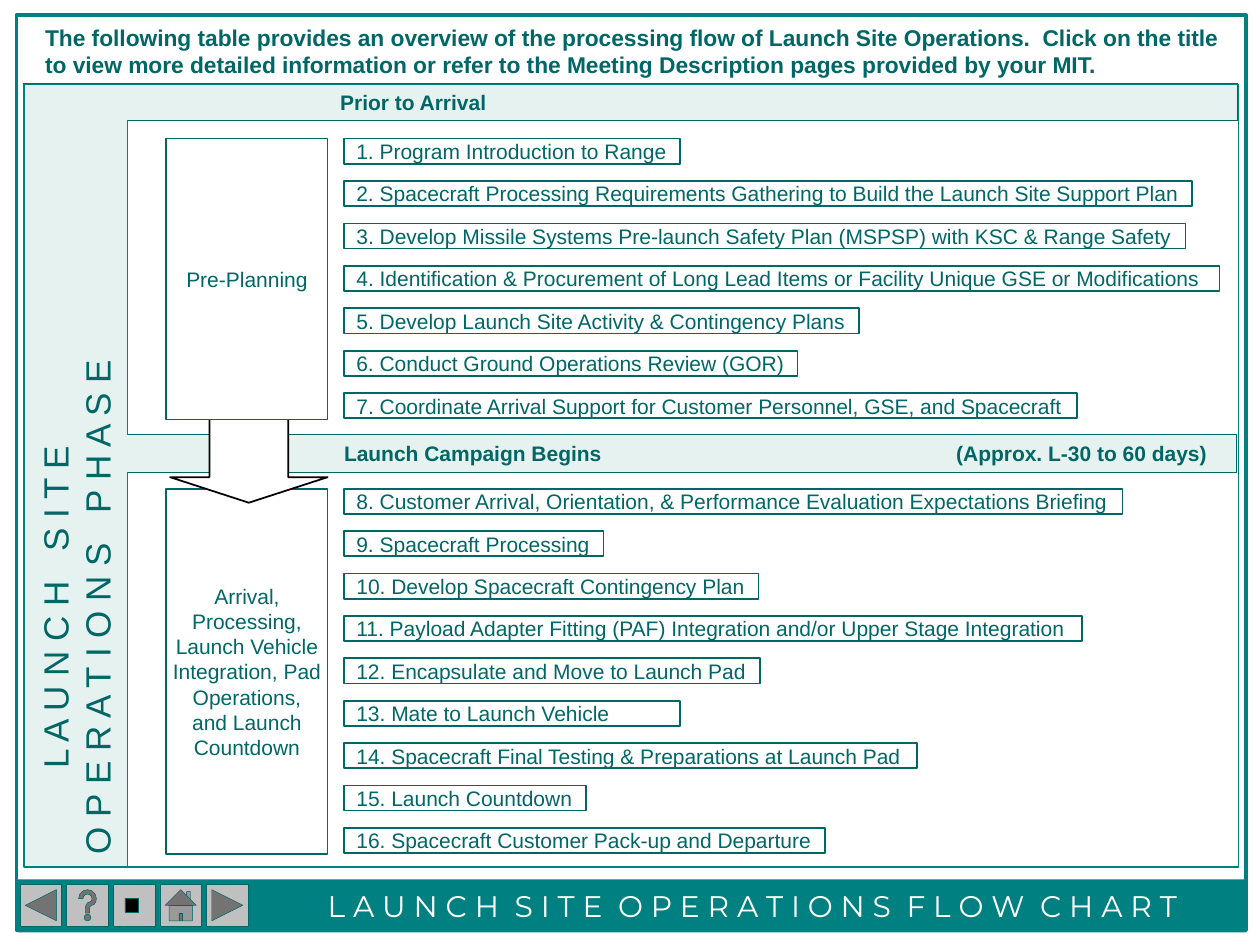
from lxml import etree
from pptx import Presentation
from pptx.dml.color import RGBColor
from pptx.enum.shapes import MSO_CONNECTOR, MSO_SHAPE as SHAPE
from pptx.enum.text import MSO_ANCHOR as ANCHOR, MSO_AUTO_SIZE, PP_ALIGN as ALIGN
from pptx.oxml.ns import qn
from pptx.util import Inches, Pt

INK, TEAL, PALE, WHITE = "006666", "008080", "E6F2EF", "FFFFFF"
PRIOR_STEPS = [
    ("1. Program Introduction to Range", 2.67),
    ("2. Spacecraft Processing Requirements Gathering to Build the Launch Site Support Plan", 6.73),
    ("3. Develop Missile Systems Pre-launch Safety Plan (MSPSP) with KSC & Range Safety", 6.68),
    ("4. Identification & Procurement of Long Lead Items or Facility Unique GSE or Modifications", 6.95),
    ("5. Develop Launch Site Activity & Contingency Plans", 4.09),
    ("6. Conduct Ground Operations Review (GOR)", 3.6),
    ("7. Coordinate Arrival Support for Customer Personnel, GSE, and Spacecraft", 5.82),
]
CAMPAIGN_STEPS = [
    ("8. Customer Arrival, Orientation, & Performance Evaluation Expectations Briefing", 6.18),
    ("9. Spacecraft Processing", 2.06),
    ("10. Develop Spacecraft Contingency Plan", 3.29),
    ("11. Payload Adapter Fitting (PAF) Integration and/or Upper Stage Integration", 5.86),
    ("12. Encapsulate and Move to Launch Pad", 3.3),
    ("13. Mate to Launch Vehicle", 2.67),
    ("14. Spacecraft Final Testing & Preparations at Launch Pad", 4.55),
    ("15. Launch Countdown", 1.92),
    ("16. Spacecraft Customer Pack-up and Departure", 3.82),
]
BUTTONS = [
    SHAPE.ACTION_BUTTON_BACK_OR_PREVIOUS, SHAPE.ACTION_BUTTON_HELP, SHAPE.ACTION_BUTTON_CUSTOM,
    SHAPE.ACTION_BUTTON_HOME, SHAPE.ACTION_BUTTON_FORWARD_OR_NEXT,
]


def color(value):
    """Turn a hex string into a colour."""
    return RGBColor.from_string(value)


def letterspaced(text, gap):
    """Set the letters apart by one space and the words by gap spaces."""
    return (" " * gap).join(" ".join(word) for word in text.split())


class FlowChart:
    """Draw the elements of the flow chart in one style."""

    def __init__(self, slide):
        """Keep the slide to draw on."""
        self.slide = slide

    def set_text(self, shape, text, size=12, bold=False, align=ALIGN.LEFT, anchor=ANCHOR.MIDDLE,
                 ink=INK, font="Arial", margins=(0.1, 0.05, 0.1, 0.05)):
        """Put styled text, one paragraph a line, into a shape."""
        frame = shape.text_frame
        frame.text = text
        frame.word_wrap = True
        frame.auto_size = MSO_AUTO_SIZE.NONE
        frame.vertical_anchor = anchor
        (frame.margin_left, frame.margin_top,
         frame.margin_right, frame.margin_bottom) = map(Inches, margins)
        for paragraph in frame.paragraphs:
            paragraph.alignment = align
            paragraph.font.name = font
            paragraph.font.size = Pt(size)
            paragraph.font.bold = bold
            paragraph.font.color.rgb = color(ink)

    def box(self, left, top, width, height, fill=None, line=INK, weight=1.0, kind=SHAPE.RECTANGLE):
        """Add a preset shape."""
        shape = self.slide.shapes.add_shape(kind, *map(Inches, (left, top, width, height)))
        shape.shadow.inherit = False
        if fill:
            shape.fill.solid()
            shape.fill.fore_color.rgb = color(fill)
        else:
            shape.fill.background()
        if line:
            shape.line.color.rgb = color(line)
            shape.line.width = Pt(weight)
        else:
            shape.line.fill.background()
        return shape

    def label(self, left, top, width, height, text, **style):
        """Add a text box."""
        shape = self.slide.shapes.add_textbox(*map(Inches, (left, top, width, height)))
        self.set_text(shape, text, **style)

    def divider(self, x, top, bottom):
        """Add a thin vertical line."""
        line = self.slide.shapes.add_connector(
            MSO_CONNECTOR.STRAIGHT, Inches(x), Inches(top), Inches(x), Inches(bottom))
        line.line.color.rgb = color(INK)
        line.line.width = Pt(0.5)
        etree.SubElement(line.element.spPr, qn("a:effectLst"))

    def band(self, left, top, width, text, text_left):
        """Add a heading band whose text starts at text_left."""
        shape = self.box(left, top, width, 0.3, PALE, weight=0.5)
        self.set_text(shape, text, bold=True, margins=(text_left - left, 0.05, 0.1, 0.05))

    def steps(self, first_top, last_top, steps):
        """Add evenly spaced step boxes."""
        pitch = (last_top - first_top) / (len(steps) - 1)
        for row, (text, width) in enumerate(steps):
            shape = self.box(2.73, first_top + row * pitch, width, 0.2)
            self.set_text(shape, text, margins=(0.1, 0, 0, 0))

    def stage(self, top, height, text):
        """Add a stage box."""
        shape = self.box(1.32, top, 1.28, height, WHITE)
        self.set_text(shape, text, align=ALIGN.CENTER, margins=(0.05,) * 4)

    def phase(self, text):
        """Add the phase panel that reads upwards."""
        shape = self.box(0.19, 0.67, 0.82, 6.21, PALE, line=None)
        self.set_text(shape, text, size=20, align=ALIGN.CENTER, margins=(0.05,) * 4)
        shape.rotation = 180
        shape.element.txBody.find(qn("a:bodyPr")).set("vert", "eaVert")

    def title(self, text):
        """Add the footer bar and put the title on it."""
        bar = self.box(0.14, 6.98, 9.75, 0.42, TEAL, line=None)
        title = self.slide.shapes.title
        title.left, title.top, title.width, title.height = map(Inches, (2, 6.9, 7.95, 0.58))
        self.set_text(title, text, size=17, align=ALIGN.CENTER, ink=WHITE, font="Montserrat")
        bar.element.addnext(title.element)

    def buttons(self):
        """Add the row of navigation buttons."""
        for column, kind in enumerate(BUTTONS):
            self.box(0.16 + column * 0.37, 7.02, 0.33, 0.33, "C0C0C0", weight=0.25, kind=kind)
        self.box(0.99, 7.13, 0.11, 0.11, "000000", weight=0.25)


def main():
    """Build the slide and save it."""
    presentation = Presentation()
    presentation.slide_width, presentation.slide_height = Inches(10), Inches(7.5)
    chart = FlowChart(presentation.slides.add_slide(presentation.slide_layouts[5]))
    chart.divider(1.01, 3.55, 6.87)
    chart.divider(1.01, 0.94, 3.45)
    chart.band(0.19, 0.66, 9.63, "Prior to Arrival", 2.7)
    chart.band(0.49, 3.45, 9.32, "Launch Campaign Begins", 2.73)
    chart.box(0.13, 0.12, 9.76, 7.26, line=TEAL, weight=2)
    chart.label(0.26, 0.14, 9.5, 0.54,
                "The following table provides an overview of the processing flow of Launch Site "
                "Operations.  Click on the title to view more detailed information or refer to the "
                "Meeting Description pages provided by your MIT.",
                size=13, bold=True, align=ALIGN.JUSTIFY, anchor=ANCHOR.TOP)
    chart.steps(1.1, 3.12, PRIOR_STEPS)
    chart.steps(3.88, 6.57, CAMPAIGN_STEPS)
    chart.phase(letterspaced("LAUNCH SITE", 3) + "\n" + letterspaced("OPERATIONS PHASE", 3))
    chart.box(0.19, 0.67, 9.64, 6.21, line=TEAL)
    chart.stage(3.88, 2.9, "Arrival, Processing, Launch Vehicle Integration, Pad Operations, "
                           "and Launch Countdown")
    arrow = chart.box(1.35, 3.18, 1.25, 0.81, WHITE, "000000", kind=SHAPE.DOWN_ARROW)
    arrow.adjustments[1] = 0.25
    chart.stage(1.1, 2.23, "Pre-Planning")
    chart.label(7.49, 3.45, 2.42, 0.3, "(Approx. L-30 to 60 days)", bold=True)
    chart.title(letterspaced("LAUNCH SITE OPERATIONS FLOW CHART", 2))
    chart.buttons()
    presentation.save("out.pptx")


if __name__ == "__main__":
    main()
